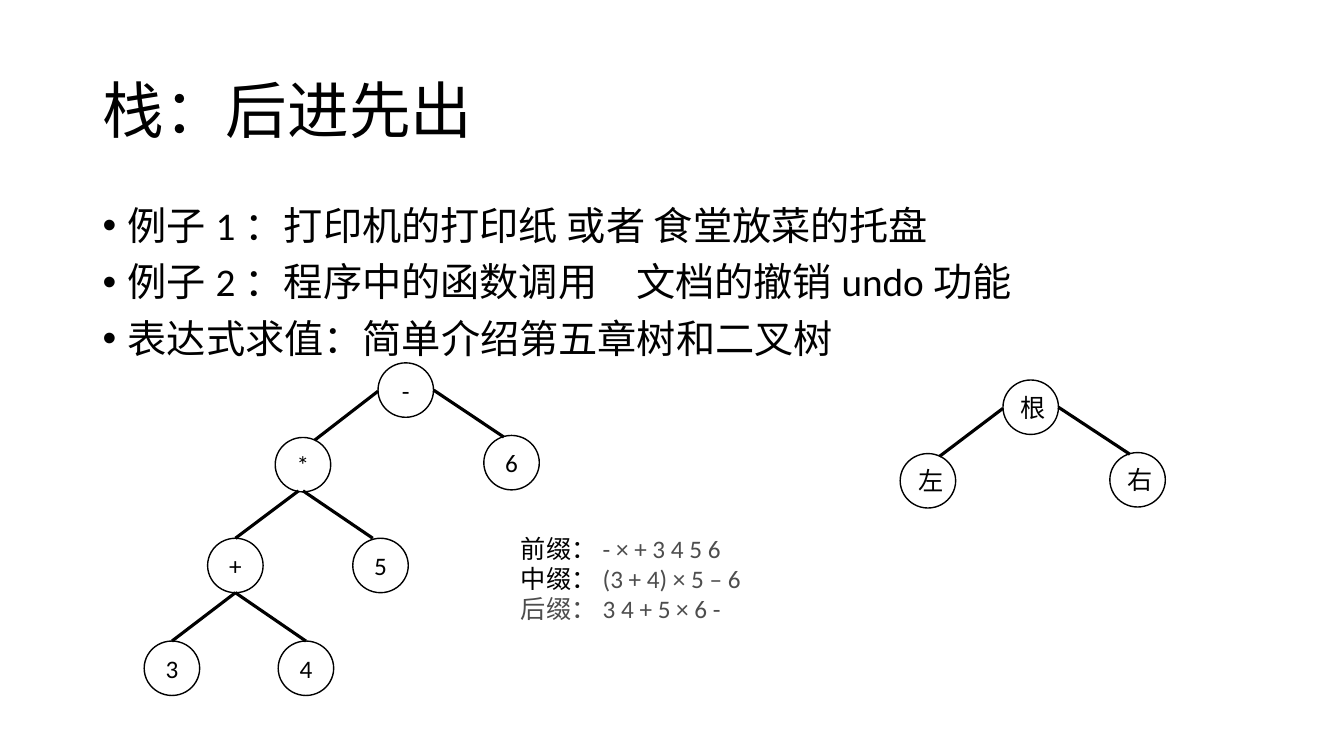
from lxml import etree
from pptx import Presentation
from pptx.dml.color import RGBColor
from pptx.enum.shapes import MSO_CONNECTOR, MSO_SHAPE
from pptx.enum.text import MSO_ANCHOR, PP_ALIGN
from pptx.oxml.ns import qn
from pptx.util import Inches, Pt

OVAL = MSO_SHAPE.OVAL
STRAIGHT = MSO_CONNECTOR.STRAIGHT
MIDDLE = MSO_ANCHOR.MIDDLE
CENTER = PP_ALIGN.CENTER
BLACK, GRAY, WHITE = "000000", "4D4D4D", "FFFFFF"

deck = Presentation()
deck.slide_width, deck.slide_height = Inches(13.33), Inches(7.5)
page = deck.slides.add_slide(deck.slide_layouts[6])

# Grid of 100 columns by 100 rows
COLUMN, ROW = deck.slide_width / 100, deck.slide_height / 100
NODE_WIDTH, NODE_HEIGHT = 4.13, 7.2


def color(value):
    return RGBColor.from_string(value)


def add_text(column, row, columns, rows, lines, size):
    """Add a text box; each line is a list of (text, colour) pairs."""
    box = page.shapes.add_textbox(int(column * COLUMN), int(row * ROW),
                                  int(columns * COLUMN), int(rows * ROW))
    frame = box.text_frame
    frame.word_wrap = True
    for index, pieces in enumerate(lines):
        para = frame.paragraphs[0] if index == 0 else frame.add_paragraph()
        for text, shade in pieces:
            span = para.add_run()
            span.text = text
            span.font.name, span.font.size = "Calibri", Pt(size)
            span.font.color.rgb = color(shade)
    return frame


# Title
title = add_text(6.9, 5.33, 86.25, 19.33, [[("栈：后进先出", BLACK)]], 44)
title.vertical_anchor = MIDDLE
title.paragraphs[0].line_spacing = 0.9

# Bulleted examples
examples = ["例子1：打印机的打印纸 或者 食堂放菜的托盘",
            "例子2：程序中的函数调用\u3000文档的撤销undo功能",
            "表达式求值：简单介绍第五章树和二叉树"]
body = add_text(6.9, 26.67, 86.25, 68, [[(text, BLACK)] for text in examples], 28)
for para in body.paragraphs:
    para.line_spacing, para.space_before = 0.9, Pt(10)
    properties = para._p.get_or_add_pPr()
    properties.set("marL", str(Inches(0.25)))
    properties.set("indent", str(-Inches(0.25)))
    etree.SubElement(properties, qn("a:buFont")).set("typeface", "Arial")
    etree.SubElement(properties, qn("a:buChar")).set("char", "•")

# Prefix, infix and postfix notation
add_text(38.03, 69.87, 21.23, 13.47,
         [[("前缀：", BLACK), ("- × + 3 4 5 6", GRAY)],
          [("中缀：", BLACK), ("(3 + 4) × 5 – 6", GRAY)],
          [("后缀：3 4 + 5 × 6 -", GRAY)]], 18)

# Tree nodes: label to left column and top row
nodes = {"-": (28.13, 48), "*": (20.48, 57.87), "6": (36, 57.6),
         "+": (15.45, 71.2), "5": (26.25, 71.2),
         "3": (10.73, 84.8), "4": (20.7, 84.8),
         "根": (74.63, 50.27), "左": (66.98, 60), "右": (82.58, 59.87)}
for label, (column, row) in nodes.items():
    node = page.shapes.add_shape(OVAL, int(column * COLUMN), int(row * ROW),
                                 int(NODE_WIDTH * COLUMN), int(NODE_HEIGHT * ROW))
    node.shadow.inherit = False
    node.fill.solid()
    node.fill.fore_color.rgb = color(WHITE)
    node.line.color.rgb = color(BLACK)
    node.line.width = Pt(1)
    node.text_frame.text = label
    node.text_frame.vertical_anchor = MIDDLE
    para = node.text_frame.paragraphs[0]
    para.alignment = CENTER
    font = para.runs[0].font
    font.name, font.size = "Calibri", Pt(18)
    font.color.rgb = color(BLACK)

# Branches: each end is a share of its node's width and height
LEFT_SIDE, RIGHT_SIDE, BOTTOM = (0, 0.52), (1, 0.5), (0.5, 1)
TOP, TOP_LEFT, TOP_RIGHT = (0.5, 0), (0.36, 0.03), (0.71, 0.05)
branches = [("-", LEFT_SIDE, "*", TOP_RIGHT), ("-", RIGHT_SIDE, "6", TOP_LEFT),
            ("*", (0.42, 0.98), "+", TOP), ("*", (0.5, 0.98), "5", (0.36, 0)),
            ("+", BOTTOM, "3", TOP), ("+", BOTTOM, "4", TOP),
            ("根", LEFT_SIDE, "左", TOP_RIGHT), ("根", RIGHT_SIDE, "右", TOP_LEFT)]
for parent, parent_share, child, child_share in branches:
    ends = []
    for label, (across, down) in ((parent, parent_share), (child, child_share)):
        column, row = nodes[label]
        ends += [int((column + across * NODE_WIDTH) * COLUMN),
                 int((row + down * NODE_HEIGHT) * ROW)]
    branch = page.shapes.add_connector(STRAIGHT, *ends)
    branch.line.color.rgb = color(BLACK)
    branch.line.width = Pt(2.25)
    etree.SubElement(branch._element.spPr, qn("a:effectLst"))

deck.save("out.pptx")
